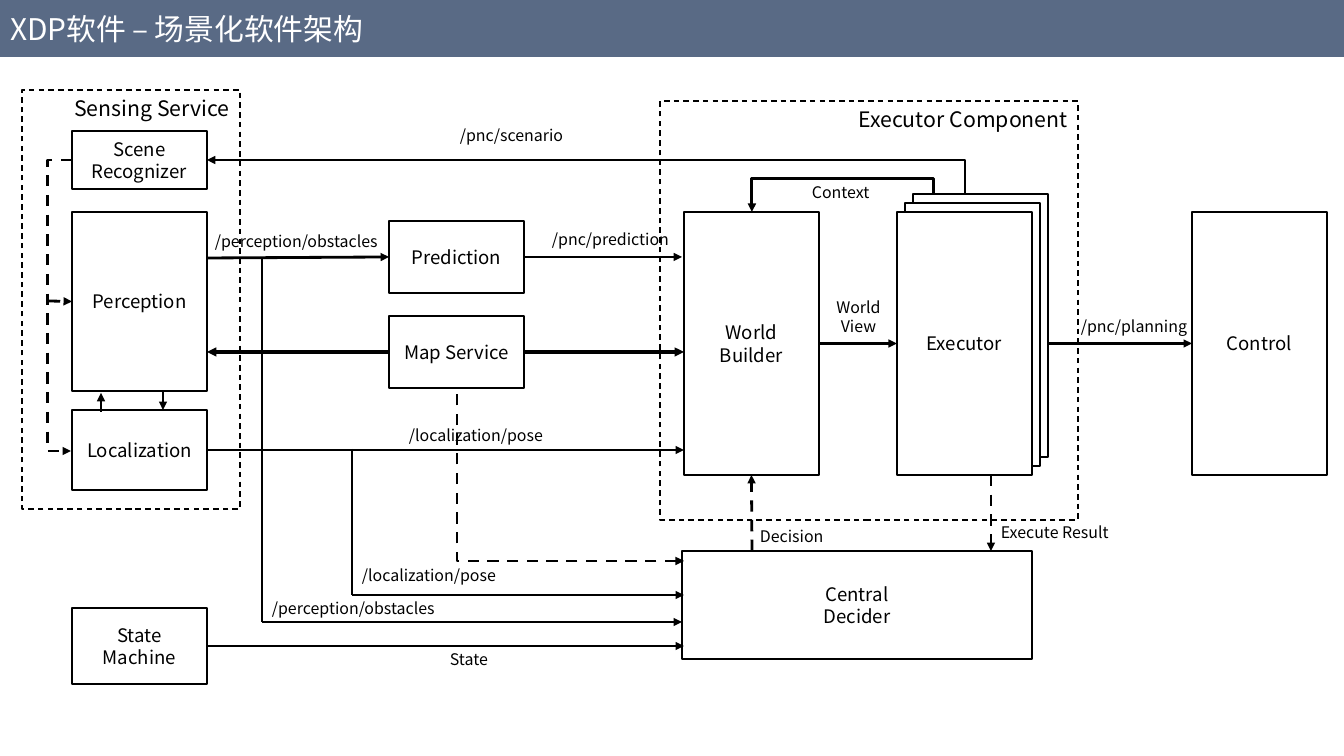
from dataclasses import dataclass

from lxml import etree
from pptx import Presentation
from pptx.dml.color import RGBColor
from pptx.enum.dml import MSO_LINE
from pptx.enum.shapes import MSO_CONNECTOR, MSO_SHAPE
from pptx.enum.text import MSO_ANCHOR, MSO_AUTO_SIZE, PP_ALIGN
from pptx.oxml.ns import qn
from pptx.util import Pt

DASH = MSO_LINE.DASH
STRAIGHT, ELBOW = MSO_CONNECTOR.STRAIGHT, MSO_CONNECTOR.ELBOW
RECT = MSO_SHAPE.RECTANGLE
TOP, MIDDLE = MSO_ANCHOR.TOP, MSO_ANCHOR.MIDDLE
LEFT, CENTER, RIGHT = PP_ALIGN.LEFT, PP_ALIGN.CENTER, PP_ALIGN.RIGHT
FIT, FIXED = MSO_AUTO_SIZE.SHAPE_TO_FIT_TEXT, MSO_AUTO_SIZE.NONE
LEFT_SIDE, BOTTOM_SIDE, RIGHT_SIDE = 1, 2, 3
EMU_PER_PX = 914400 / 100.8
SLIDE_W, SLIDE_H = 1344, 756
BOX_W, TALL_H = 135, 263


@dataclass(frozen=True)
class Theme:
    """Colours, type sizes and line widths of the slide."""
    font: str = "Noto Sans CJK SC"
    ink: RGBColor = RGBColor(0, 0, 0)
    paper: RGBColor = RGBColor(255, 255, 255)
    bar: RGBColor = RGBColor(0x59, 0x6A, 0x85)
    title: float = 21.3
    frame: float = 15.2
    node: float = 13.3
    label: float = 11.4
    outline: float = 1
    link: float = 2
    map_link: float = 2.25


THEME = Theme()

LINKS = {
    "context": dict(pts=(934, 227, 752, 212), bend="bentConnector4", adj=(300, 322700)),
    "scenario": dict(pts=(207, 160, 965, 212), bend="bentConnector2", arrow="headEnd"),
    "planning": dict(pts=(1032, 343, 1192, 343), begin=("Executor", RIGHT_SIDE),
                     end=("Control", LEFT_SIDE)),
    "pose": dict(pts=(207, 450, 684, 450), begin=("Localization", RIGHT_SIDE)),
    "world view": dict(pts=(819, 343, 897, 343), begin=("World\nBuilder", RIGHT_SIDE),
                       end=("Executor", LEFT_SIDE)),
    "result": dict(pts=(991, 475, 991, 551), dash=DASH),
    "state": dict(pts=(207, 646, 684, 646), begin=("State\nMachine", RIGHT_SIDE)),
    "obstacles": dict(pts=(207, 258, 389, 257), end=("Prediction", LEFT_SIDE)),
    "pose trunk": dict(pts=(352, 449, 352, 595), arrow=None),
    "obstacles trunk": dict(pts=(262, 258, 262, 622), arrow=None),
    "obstacles branch": dict(pts=(262, 622, 682, 622)),
    "pose branch": dict(pts=(352, 595, 684, 595)),
    "scene": dict(pts=(72, 160, 71, 451), bend="bentConnector3", adj=(2450000,), dash=DASH),
    "scene branch": dict(pts=(49, 301, 72, 301), dash=DASH, end=("Perception", LEFT_SIDE)),
    "prediction": dict(pts=(524, 257, 682, 257), begin=("Prediction", RIGHT_SIDE)),
    "decision": dict(pts=(752, 551, 752, 475), dash=DASH,
                     end=("World\nBuilder", BOTTOM_SIDE)),
    "map to world": dict(pts=(524, 352, 684, 352), width=THEME.map_link,
                         begin=("Map Service", RIGHT_SIDE)),
    "map to perception": dict(pts=(389, 352, 207, 352), width=THEME.map_link,
                              begin=("Map Service", LEFT_SIDE)),
    "map to decider": dict(pts=(684, 561, 457, 388), bend="bentConnector2",
                           arrow="headEnd", dash=DASH),
    "up": dict(pts=(101, 412, 101, 393)),
    "down": dict(pts=(163, 392, 163, 410)),
}

LABELS = [
    ("/pnc/planning", 1071, 312, 130), ("World\nView", 825, 293, 67),
    ("/localization/pose", 352, 561, 158), ("/pnc/scenario", 450, 121, 127),
    ("Execute Result", 991, 518, 132), ("State", 440, 645, 59),
    ("/perception/obstacles", 205, 227, 190), ("/perception/obstacles", 262, 594, 190),
    ("/localization/pose", 399, 421, 158), ("/pnc/prediction", 542, 225, 141),
    ("Context", 802, 178, 81), ("Decision", 750, 522, 86),
]


def px(n):
    """Turn pixels into EMU."""
    return round(n * EMU_PER_PX)


def write(shape, text, size, color=THEME.ink, align=CENTER, **frame_format):
    """Put formatted paragraphs into a shape."""
    tf = shape.text_frame
    tf.text = text
    for name, value in frame_format.items():
        setattr(tf, name, value)
    for p in tf.paragraphs:
        p.alignment = align
        for r in p.runs:
            for name, value in dict(name=THEME.font, size=Pt(size), bold=False).items():
                setattr(r.font, name, value)
            r.font.color.rgb = color
            ea = etree.SubElement(r.font._element, qn("a:ea"))
            ea.set("typeface", THEME.font)


def rect(s, x, y, w, h, fill=None, dash=None):
    """Draw an outlined rectangle."""
    sp = s.shapes.add_shape(RECT, px(x), px(y), px(w), px(h))
    sp.shadow.inherit = False
    sp.fill.background()
    if fill is not None:
        sp.fill.solid()
        sp.fill.fore_color.rgb = fill
    sp.line.color.rgb, sp.line.width = THEME.ink, Pt(THEME.outline)
    if dash:
        sp.line.dash_style = dash
    return sp


def node(s, text, x, y, w, h, fill=None):
    """Draw a named component and return it under its name."""
    sp = rect(s, x, y, w, h, fill)
    write(sp, text, THEME.node, vertical_anchor=MIDDLE, word_wrap=True)
    return {text: sp}


def frame(s, text, x, y, w, h):
    """Draw a dashed group frame with its heading."""
    write(rect(s, x, y, w, h, dash=DASH), text, THEME.frame, align=RIGHT,
          vertical_anchor=TOP, word_wrap=True)


def link(s, pts, bend=None, adj=(), dash=None, arrow="tailEnd", width=THEME.link):
    """Draw a straight or bent connector."""
    c = s.shapes.add_connector(ELBOW if bend else STRAIGHT, *map(px, pts))
    c.line.color.rgb, c.line.width = THEME.ink, Pt(width)
    if dash:
        c.line.dash_style = dash
    spPr = c.element.spPr
    if bend:
        geom = spPr.find(qn("a:prstGeom"))
        geom.set("prst", bend)
        for i, value in enumerate(adj, 1):
            gd = etree.SubElement(geom.find(qn("a:avLst")), qn("a:gd"))
            gd.set("name", f"adj{i}")
            gd.set("fmla", f"val {value}")
    if arrow:
        etree.SubElement(spPr.find(qn("a:ln")), qn(f"a:{arrow}")).set("type", "triangle")
    etree.SubElement(spPr, qn("a:effectLst"))
    return c


def title_bar(s, x, y, w, h):
    """Turn the title placeholder into the top bar."""
    t = s.shapes.title
    for name, value in dict(left=x, top=y, width=w, height=h).items():
        setattr(t, name, px(value))
    t.fill.solid()
    t.fill.fore_color.rgb = THEME.bar
    write(t, "XDP软件 – 场景化软件架构", THEME.title, THEME.paper, LEFT,
          vertical_anchor=MIDDLE, word_wrap=True, auto_size=FIXED,
          margin_left=px(10), margin_right=px(10))


def sensing_service(s, x, y, w, h):
    """Draw the sensing group and its three components."""
    frame(s, "Sensing Service", x, y, w, h)
    nodes = {}
    for text, dy, height in (("Scene\nRecognizer", 41, 58), ("Perception", 122, 179),
                             ("Localization", 320, 80)):
        nodes |= node(s, text, x + 50, y + dy, BOX_W, height)
    return nodes


def executor_component(s, x, y, w, h):
    """Draw the executor group with its stack of sheets."""
    frame(s, "Executor Component", x, y, w, h)
    left, top = x + 237, y + 111
    for i in (2, 1):
        rect(s, left + 8 * i, top - 9 * i, BOX_W, TALL_H, THEME.paper)
    return (node(s, "World\nBuilder", x + 24, top, BOX_W, TALL_H)
            | node(s, "Executor", left, top, BOX_W, TALL_H, THEME.paper))


def middle_services(s, x, y, w, h):
    """Draw prediction and map service, one above the other."""
    height = 72
    return (node(s, "Prediction", x, y, w, height)
            | node(s, "Map Service", x, y + h - height, w, height))


def labels(s, x, y):
    """Write the names of the messages beside the connectors."""
    for text, dx, dy, w in LABELS:
        lines = text.count("\n") + 1
        tb = s.shapes.add_textbox(px(x + dx), px(y + dy), px(w), px(10 + 19 * lines))
        write(tb, text, THEME.label, align=CENTER if lines > 1 else LEFT,
              word_wrap=False, auto_size=FIT)


def architecture(s, x, y):
    """Draw connectors, components and labels, then join them."""
    joins = []
    for values in LINKS.values():
        style = dict(values)
        begin, end = style.pop("begin", None), style.pop("end", None)
        x1, y1, x2, y2 = style.pop("pts")
        joins.append((link(s, (x + x1, y + y1, x + x2, y + y2), **style), begin, end))
    nodes = (sensing_service(s, x + 22, y + 90, 218, 419)
             | executor_component(s, x + 660, y + 101, 418, 419)
             | middle_services(s, x + 389, y + 221, BOX_W, 167)
             | node(s, "Control", x + 1192, y + 212, BOX_W, TALL_H)
             | node(s, "Central\nDecider", x + 682, y + 551, 350, 108)
             | node(s, "State\nMachine", x + 72, y + 608, BOX_W, 76))
    for c, begin, end in joins:
        if begin:
            c.begin_connect(nodes[begin[0]], begin[1])
        if end:
            c.end_connect(nodes[end[0]], end[1])
    labels(s, x, y)


def main():
    """Build and save the slide."""
    prs = Presentation()
    prs.slide_width, prs.slide_height = px(SLIDE_W), px(SLIDE_H)
    s = prs.slides.add_slide(prs.slide_layouts[5])
    title_bar(s, 0, 0, SLIDE_W, 57)
    architecture(s, 0, 0)
    prs.save("out.pptx")


if __name__ == "__main__":
    main()
